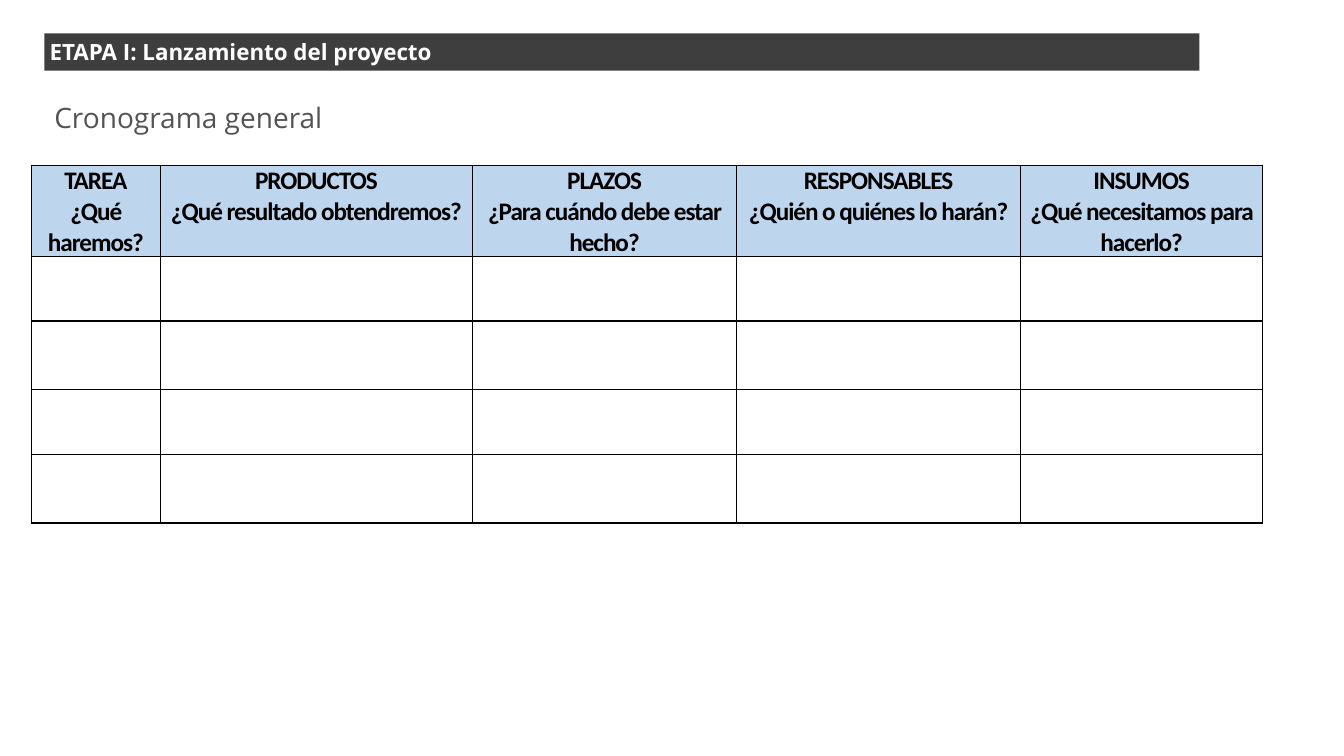
import pptx
import pptx.dml.color
import pptx.enum.shapes
import pptx.enum.text
import pptx.oxml
import pptx.oxml.ns
import pptx.util

Cm, Pt = pptx.util.Cm, pptx.util.Pt
RGBColor = pptx.dml.color.RGBColor
PP_ALIGN = pptx.enum.text.PP_ALIGN
MSO_ANCHOR = pptx.enum.text.MSO_ANCHOR

WHITE = RGBColor(0xFF, 0xFF, 0xFF)
BLACK = RGBColor(0x00, 0x00, 0x00)
CHARCOAL = RGBColor(0x3E, 0x3E, 0x3E)
GRAY = RGBColor(0x53, 0x53, 0x53)
LIGHT_BLUE = RGBColor(0xBD, 0xD6, 0xEE)

HEADERS = [
    ("TAREA", "¿Qué haremos?"),
    ("PRODUCTOS", "¿Qué resultado obtendremos?"),
    ("PLAZOS", "¿Para cuándo debe estar hecho?"),
    ("RESPONSABLES", "¿Quién o quiénes lo harán?"),
    ("INSUMOS", "¿Qué necesitamos para hacerlo?"),
]
COLUMN_WIDTHS = [3.25, 7.87, 6.65, 7.16, 6.1]
ROW_HEIGHTS = [2.29, 1.63, 1.73, 1.63, 1.73]


def style_font(font, name, size, color, bold=False):
    font.name = name
    font.size = Pt(size)
    font.bold = bold
    font.color.rgb = color


def add_stage_bar(s, left, top, width, height):
    bar = s.shapes.add_shape(pptx.enum.shapes.MSO_SHAPE.RECTANGLE,
                             left, top, width, height)
    bar.shadow.inherit = False
    bar.fill.solid()
    bar.fill.fore_color.rgb = CHARCOAL
    bar.line.fill.background()
    tf = bar.text_frame
    tf.word_wrap = True
    tf.vertical_anchor = MSO_ANCHOR.MIDDLE
    tf.margin_left = tf.margin_right = Cm(0.13)
    tf.margin_top = tf.margin_bottom = Cm(0.13)
    p = tf.paragraphs[0]
    p.text = "ETAPA I: Lanzamiento del proyecto"
    p.alignment = PP_ALIGN.LEFT
    style_font(p.font, "Open Sans", 16, WHITE, bold=True)


def add_subtitle(s, left, top, width, height):
    tf = s.shapes.add_textbox(left, top, width, height).text_frame
    tf.word_wrap = True
    p = tf.paragraphs[0]
    p.text = "Cronograma general"
    p.alignment = PP_ALIGN.JUSTIFY
    style_font(p.font, "Open Sans", 20, GRAY)


def add_borders(cell):
    tc_pr = cell._tc.get_or_add_tcPr()
    # Border lines come before the fill in the cell properties
    for i, side in enumerate(("lnL", "lnR", "lnT", "lnB")):
        tc_pr.insert(i, pptx.oxml.parse_xml(
            f'<a:{side} {pptx.oxml.ns.nsdecls("a")} w="12700"><a:solidFill>'
            f'<a:srgbClr val="{BLACK}"/></a:solidFill></a:{side}>'))


def fill_header(cell, lines):
    cell.margin_left = cell.margin_right = Cm(0.1)
    cell.margin_top = cell.margin_bottom = 0
    tf = cell.text_frame
    tf.text = "\n".join(lines)
    for p in tf.paragraphs:
        p.alignment = PP_ALIGN.CENTER
        style_font(p.font, "Calibri", 18, BLACK, bold=True)
        # Slightly condensed letter spacing
        for r in p.runs:
            r.font._element.set("spc", "-75")


def add_schedule(s, left, top, width, height):
    table = s.shapes.add_table(len(ROW_HEIGHTS), len(HEADERS),
                               left, top, width, height).table
    table.horz_banding = False
    for column, column_width in zip(table.columns, COLUMN_WIDTHS):
        column.width = Cm(column_width)
    for row, row_height in zip(table.rows, ROW_HEIGHTS):
        row.height = Cm(row_height)
    for cell in table.iter_cells():
        cell.fill.background()
        add_borders(cell)
    for cell, lines in zip(table.rows[0].cells, HEADERS):
        cell.fill.solid()
        cell.fill.fore_color.rgb = LIGHT_BLUE
        fill_header(cell, lines)


def main():
    prs = pptx.Presentation()
    prs.slide_width, prs.slide_height = Cm(33.87), Cm(19.05)
    s = prs.slides.add_slide(prs.slide_layouts[6])
    add_subtitle(s, Cm(1.12), Cm(2.41), Cm(28.52), Cm(1.12))
    add_schedule(s, Cm(0.79), Cm(4.17),
                 Cm(sum(COLUMN_WIDTHS)), Cm(sum(ROW_HEIGHTS)))
    add_stage_bar(s, Cm(1.12), Cm(0.84), Cm(29.11), Cm(0.94))
    prs.save("out.pptx")


if __name__ == "__main__":
    main()
